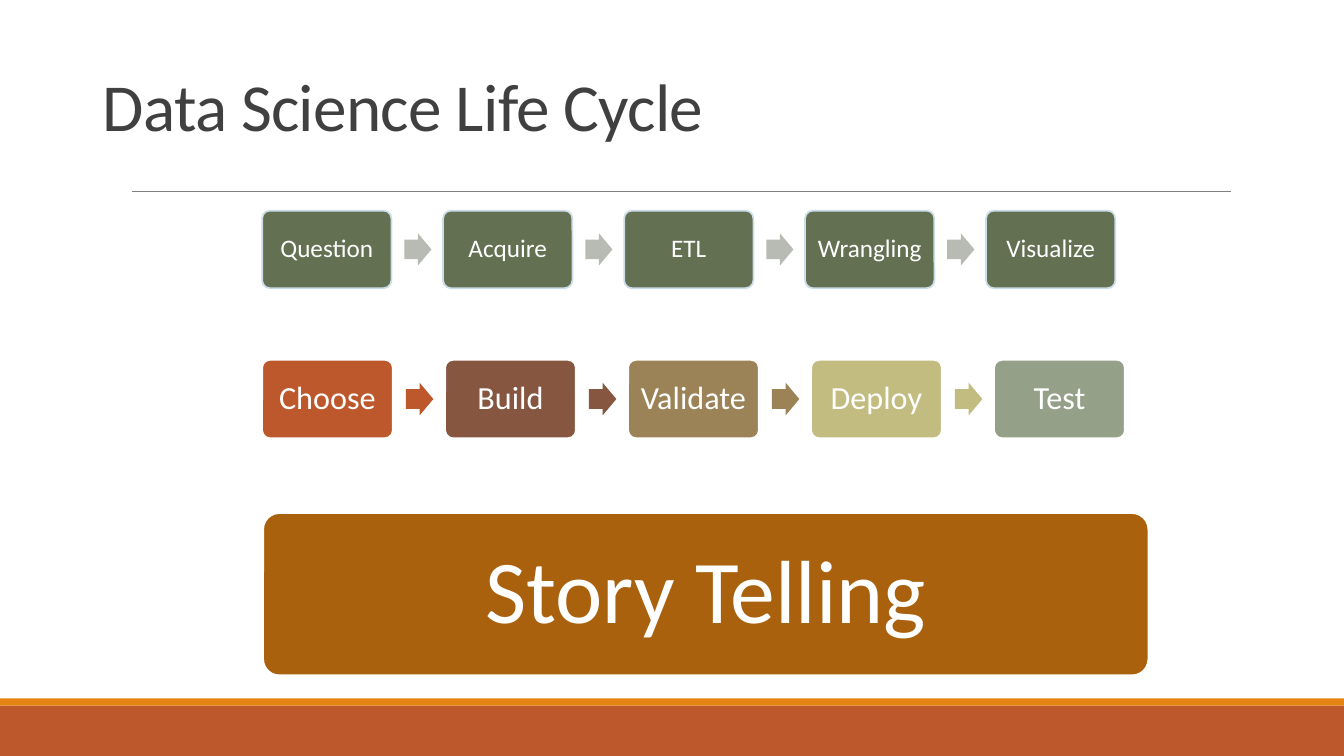
from pptx import Presentation
from pptx.dml.color import RGBColor
from pptx.enum.shapes import MSO_CONNECTOR, MSO_SHAPE
from pptx.enum.text import MSO_ANCHOR, PP_ALIGN
from pptx.oxml.ns import qn
from pptx.util import Inches, Pt
from lxml.etree import SubElement

WHITE = RGBColor(0xFF, 0xFF, 0xFF)
INK = RGBColor(0x40, 0x40, 0x40)
RULE_GREY = RGBColor(0x80, 0x80, 0x80)
RUST = RGBColor(0xBD, 0x58, 0x2C)
ORANGE = RGBColor(0xE4, 0x83, 0x12)
GREEN = RGBColor(0x63, 0x70, 0x52)
PALE_BLUE = RGBColor(0xCC, 0xDD, 0xEA)
ARROW_GREY = RGBColor(0xB7, 0xBB, 0xB3)
BROWN = RGBColor(0x86, 0x56, 0x40)
TAN = RGBColor(0x9B, 0x83, 0x57)
KHAKI = RGBColor(0xC2, 0xBC, 0x80)
SAGE = RGBColor(0x94, 0xA0, 0x88)
AMBER = RGBColor(0xA9, 0x61, 0x0D)

FONT = "Calibri"
SLIDE_WIDTH, SLIDE_HEIGHT = 13.33, 7.5
TITLE = "Data Science Life Cycle"
STORY = "Story Telling"
LEFT = 2.6
PROCESSES = [
    {"top": 2.09, "reach": 7.18, "size": 18, "inset": 0.09, "outline": PALE_BLUE,
     "steps": [(name, GREEN, ARROW_GREY) for name in
               ("Question", "Acquire", "ETL", "Wrangling", "Visualize")]},
    {"top": 3.57, "reach": 7.26, "size": 23, "inset": 0.12, "outline": WHITE,
     "steps": [("Choose", RUST, RUST), ("Build", BROWN, BROWN),
               ("Validate", TAN, TAN), ("Deploy", KHAKI, KHAKI),
               ("Test", SAGE, SAGE)]},
]

deck = Presentation()
deck.slide_width, deck.slide_height = Inches(SLIDE_WIDTH), Inches(SLIDE_HEIGHT)
page = deck.slides.add_slide(deck.slide_layouts[6])


def add_block(kind, left, top, width, height, fill, outline=None):
    block = page.shapes.add_shape(
        kind, Inches(left), Inches(top), Inches(width), Inches(height))
    block.shadow.inherit = False
    block.fill.solid()
    block.fill.fore_color.rgb = fill
    if outline is None:
        block.line.fill.background()
    else:
        block.line.color.rgb = outline
        block.line.width = Pt(1.25)
    return block


def write(box, text, size, color, align, anchor, spacing, inset):
    frame = box.text_frame
    frame.vertical_anchor = anchor
    frame.margin_left = frame.margin_right = Inches(inset)
    frame.margin_top = frame.margin_bottom = Inches(inset)
    para = frame.paragraphs[0]
    para.alignment = align
    para.line_spacing = spacing
    span = para.add_run()
    span.text = text
    span.font.name = FONT
    span.font.size = Pt(size)
    span.font.color.rgb = color
    return span


def add_card(text, left, top, width, height, fill, outline, size, inset):
    card = add_block(MSO_SHAPE.ROUNDED_RECTANGLE, left, top, width, height, fill, outline)
    card.adjustments[0] = 0.1
    card.text_frame.word_wrap = False
    write(card, text, size, WHITE, PP_ALIGN.CENTER, MSO_ANCHOR.MIDDLE, 0.9, inset)


def add_process(process):
    steps = process["steps"]
    pitch = process["reach"] / (len(steps) - 1)
    width = pitch / 1.4
    height = width * 0.6
    arrow_width, arrow_height = width * 0.21, width * 0.25
    for index, (name, fill, arrow_fill) in enumerate(steps):
        left = LEFT + index * pitch
        add_card(name, left, process["top"], width, height, fill,
                 process["outline"], process["size"], process["inset"])
        if index < len(steps) - 1:
            arrow = add_block(
                MSO_SHAPE.RIGHT_ARROW, left + width * 1.1,
                process["top"] + (height - arrow_height) / 2,
                arrow_width, arrow_height, arrow_fill)
            arrow.adjustments[0] = 0.6
            arrow.adjustments[1] = 0.5


add_block(MSO_SHAPE.RECTANGLE, 0, 7, SLIDE_WIDTH, 0.5, RUST)
add_block(MSO_SHAPE.RECTANGLE, 0, 6.93, SLIDE_WIDTH, 0.07, ORANGE)

rule = page.shapes.add_connector(
    MSO_CONNECTOR.STRAIGHT, Inches(1.31), Inches(1.9), Inches(12.21), Inches(1.9))
rule.line.color.rgb = RULE_GREY
rule.line.width = Pt(0.5)
SubElement(rule._element.spPr, qn("a:effectLst"))

for process in PROCESSES:
    add_process(process)

add_card(STORY, LEFT + 0.01, 5.09, 8.78, 1.61, AMBER, WHITE, 64, 0.32)

title = page.shapes.add_textbox(Inches(0.92), Inches(0.4), Inches(11.44), Inches(1.09))
title.text_frame.word_wrap = True
title_span = write(title, TITLE, 48, INK, PP_ALIGN.LEFT, MSO_ANCHOR.BOTTOM, 0.85, 0.1)
title.text_frame.margin_top = title.text_frame.margin_bottom = Inches(0.05)
title_span.font._element.set("spc", "-50")

deck.save("out.pptx")
